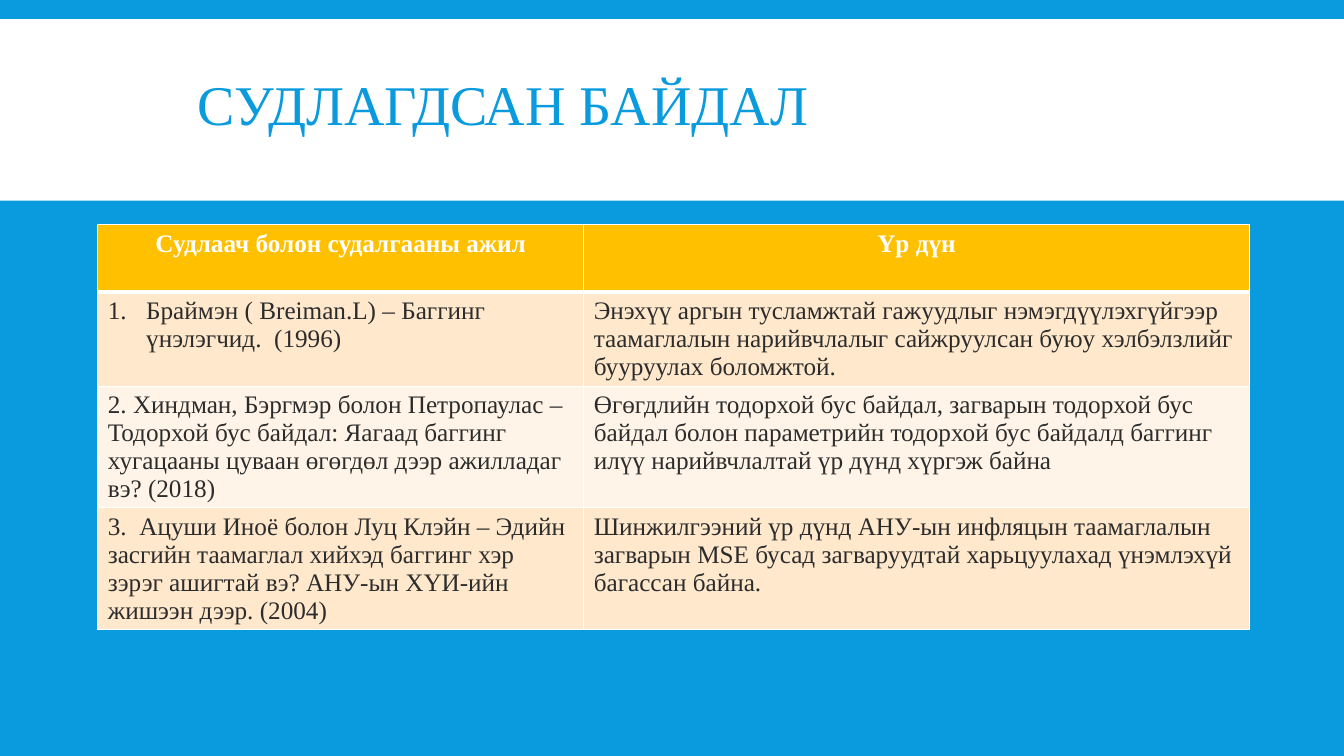
from lxml.etree import SubElement
from pptx import Presentation
from pptx.dml.color import RGBColor
from pptx.enum.shapes import MSO_SHAPE
from pptx.enum.text import MSO_ANCHOR, MSO_AUTO_SIZE, PP_ALIGN
from pptx.oxml.ns import qn
from pptx.util import Inches, Pt

BLUE = RGBColor(0x09, 0x9B, 0xDD)
WHITE = RGBColor(0xFF, 0xFF, 0xFF)
DARK = RGBColor(0x2C, 0x2C, 0x2C)
AMBER = RGBColor(0xFF, 0xC0, 0x00)
PEACH = RGBColor(0xFF, 0xE8, 0xCC)
CREAM = RGBColor(0xFF, 0xF4, 0xE7)
FONT = "Times New Roman"

TITLE = "СУДЛАГДСАН БАЙДАЛ"
HEADER = ("Судлаач болон судалгааны ажил", "Үр дүн")
STUDIES = [
    ("Браймэн ( Breiman.L) – Баггинг үнэлэгчид.  (1996)",
     "Энэхүү аргын тусламжтай гажуудлыг нэмэгдүүлэхгүйгээр таамаглалын "
     "нарийвчлалыг сайжруулсан буюу хэлбэлзлийг бууруулах боломжтой."),
    ("2. Хиндман, Бэргмэр болон Петропаулас –Тодорхой бус байдал: Яагаад баггинг "
     "хугацааны цуваан өгөгдөл дээр ажилладаг вэ? (2018)",
     "Өгөгдлийн тодорхой бус байдал, загварын тодорхой бус байдал болон "
     "параметрийн тодорхой бус байдалд баггинг илүү нарийвчлалтай үр дүнд хүргэж байна"),
    ("3.  Ацуши Иноё болон Луц Клэйн – Эдийн засгийн таамаглал хийхэд баггинг хэр "
     "зэрэг ашигтай вэ? АНУ-ын ХҮИ-ийн жишээн дээр. (2004)",
     "Шинжилгээний үр дүнд АНУ-ын инфляцын таамаглалын загварын MSE бусад "
     "загваруудтай харьцуулахад үнэмлэхүй багассан байна."),
]


def style_paragraph(paragraph, size, color, bold=False, alignment=PP_ALIGN.LEFT):
    paragraph.alignment = alignment
    font = paragraph.font
    font.name, font.size, font.bold = FONT, Pt(size), bold
    font.color.rgb = color


def add_banner(slide, left, top, width, height):
    banner = slide.shapes.add_shape(
        MSO_SHAPE.RECTANGLE, left, top, width, height)
    banner.shadow.inherit = False
    banner.fill.solid()
    banner.fill.fore_color.rgb = WHITE
    banner.line.fill.background()

    title = slide.shapes.title
    title.element.addprevious(banner.element)
    title.left, title.top = left + Inches(1.86), top + Inches(0.06)
    title.width, title.height = Inches(10.7), Inches(1.65)
    frame = title.text_frame
    frame.text = TITLE
    frame.word_wrap = True
    frame.auto_size = MSO_AUTO_SIZE.NONE
    frame.vertical_anchor = MSO_ANCHOR.MIDDLE
    paragraph = frame.paragraphs[0]
    paragraph.line_spacing = 0.85
    style_paragraph(paragraph, 40, BLUE)


def set_borders(cell, bottom_width):
    properties = cell._tc.get_or_add_tcPr()
    widths = {"a:lnL": 1, "a:lnR": 1, "a:lnT": 1, "a:lnB": bottom_width}
    for index, (tag, width) in enumerate(widths.items()):
        line = properties.makeelement(qn(tag), {"w": str(Pt(width))})
        properties.insert(index, line)
        fill = SubElement(line, qn("a:solidFill"))
        SubElement(fill, qn("a:srgbClr"), val=str(WHITE))


def number_paragraph(paragraph):
    properties = paragraph._p.get_or_add_pPr()
    indent = Inches(0.38)
    properties.set("marL", str(indent))
    properties.set("indent", str(-indent))
    SubElement(properties, qn("a:buFont"), typeface="+mj-lt")
    SubElement(properties, qn("a:buAutoNum"), type="arabicPeriod")


def add_studies_table(slide, left, top, width, height):
    rows = [HEADER, *STUDIES]
    table = slide.shapes.add_table(
        len(rows), len(HEADER), left, top, width, height).table
    table.columns[0].width = Inches(4.82)
    table.columns[1].width = width - Inches(4.82)
    for row_index, texts in enumerate(rows):
        is_header = row_index == 0
        table.rows[row_index].height = Inches(0.67 if is_header else 0.73)
        color = AMBER if is_header else PEACH if row_index % 2 else CREAM
        for column_index, text in enumerate(texts):
            cell = table.cell(row_index, column_index)
            cell.text = text
            cell.fill.solid()
            cell.fill.fore_color.rgb = color
            set_borders(cell, 3 if is_header else 1)
            paragraph = cell.text_frame.paragraphs[0]
            if is_header:
                style_paragraph(paragraph, 18, WHITE, True, PP_ALIGN.CENTER)
            else:
                style_paragraph(paragraph, 18, DARK)
    number_paragraph(table.cell(1, 0).text_frame.paragraphs[0])


def main():
    presentation = Presentation()
    presentation.slide_width = Inches(13.33)
    presentation.slide_height = Inches(7.5)
    slide = presentation.slides.add_slide(presentation.slide_layouts[5])
    slide.background.fill.solid()
    slide.background.fill.fore_color.rgb = BLUE
    add_banner(slide, 0, Inches(0.19), presentation.slide_width, Inches(1.8))
    add_studies_table(
        slide, Inches(0.97), Inches(2.23), Inches(11.42), Inches(2.86))
    presentation.save("out.pptx")


if __name__ == "__main__":
    main()
